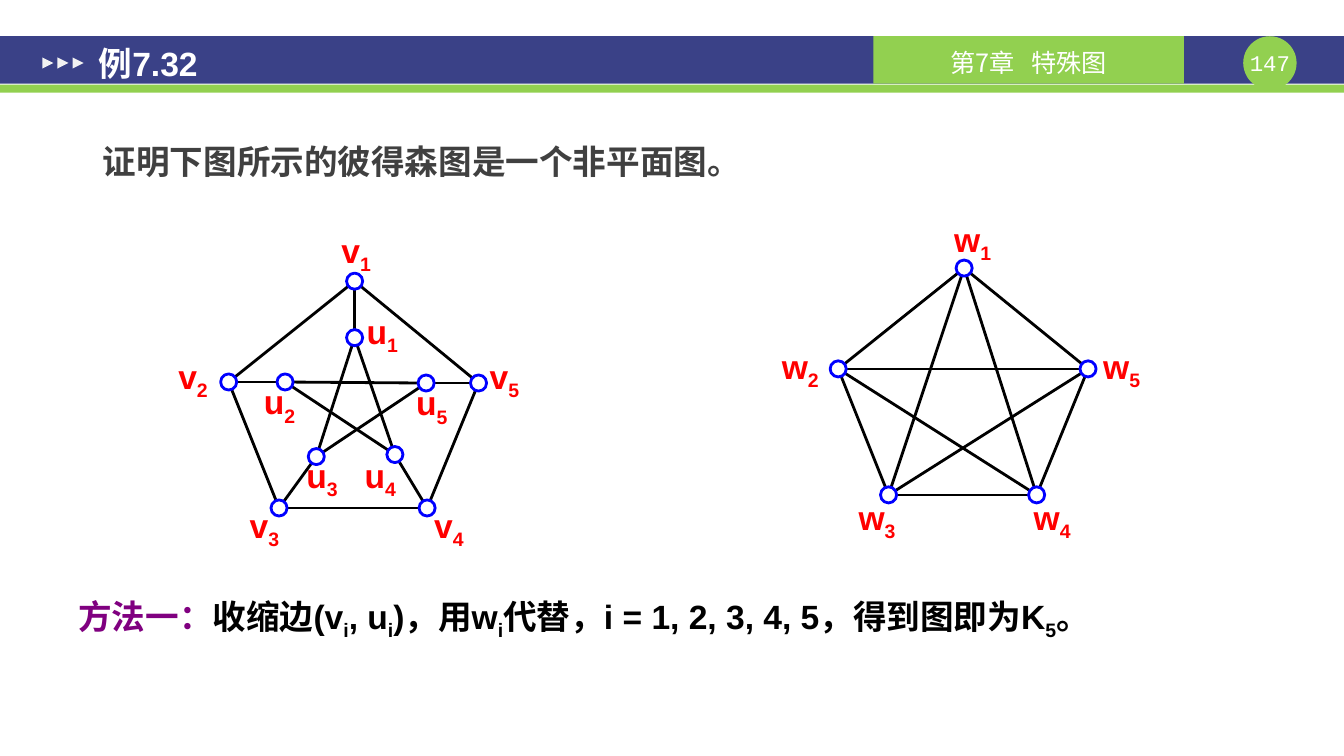
from lxml import etree
from pptx import Presentation
from pptx.dml.color import RGBColor
from pptx.enum.shapes import MSO_CONNECTOR, MSO_SHAPE
from pptx.enum.text import MSO_ANCHOR, MSO_AUTO_SIZE, PP_ALIGN
from pptx.oxml.ns import qn
from pptx.util import Inches, Pt

RECT, OVAL, TRIANGLE = MSO_SHAPE.RECTANGLE, MSO_SHAPE.OVAL, MSO_SHAPE.ISOSCELES_TRIANGLE
LEFT, CENTER = PP_ALIGN.LEFT, PP_ALIGN.CENTER
TOP, MIDDLE = MSO_ANCHOR.TOP, MSO_ANCHOR.MIDDLE
STRAIGHT, FIXED = MSO_CONNECTOR.STRAIGHT, MSO_AUTO_SIZE.NONE
NAVY, GREEN, WHITE, RED, BLUE, BLACK = "3A4187", "92D050", "FFFFFF", "FF0000", "0000FF", "000000"
CJK = "Noto Sans CJK SC"
WIDTH, HEIGHT = 13.34, 7.5
BAND_TOP, BAND_HEIGHT = 0.36, 0.47
NODE, LABEL_WIDTH, LABEL_HEIGHT = 0.16, 0.47, 0.4
color = RGBColor.from_string

deck = Presentation()
deck.slide_width, deck.slide_height = Inches(WIDTH), Inches(HEIGHT)
slide = deck.slides.add_slide(deck.slide_layouts[5])
shapes = slide.shapes


def add_block(kind, box, fill, outline=None):
    block = shapes.add_shape(kind, *map(Inches, box))
    block.shadow.inherit = False
    block.fill.solid()
    block.fill.fore_color.rgb = color(fill)
    if outline:
        block.line.color.rgb = color(outline)
        block.line.width = Pt(2)
    else:
        block.line.fill.background()
    return block


def write(holder, parts, insets=(0, 0, 0, 0), anchor=TOP, wrap=True, size=24,
          font="Arial", bold=True, **spacing):
    """Write (text, colour) parts; the character after "_" is a subscript."""
    frame = holder.text_frame
    left, top, right, bottom = map(Inches, insets)
    layout = dict(auto_size=FIXED, word_wrap=wrap, vertical_anchor=anchor, margin_left=left,
                  margin_top=top, margin_right=right, margin_bottom=bottom)
    for key, value in layout.items():
        setattr(frame, key, value)
    paragraph = frame.paragraphs[0]
    for key, value in spacing.items():
        setattr(paragraph, key, value)
    for text, ink in parts:
        first, *rest = text.split("_")
        pieces = [(first, False)]
        for piece in rest:
            pieces += [(piece[0], True), (piece[1:], False)]
        for piece, subscript in pieces:
            if not piece:
                continue
            run = paragraph.add_run()
            run.text = piece
            for key, value in dict(size=Pt(size), name=font, bold=bold).items():
                setattr(run.font, key, value)
            run.font.color.rgb = color(ink)
            properties = run._r.get_or_add_rPr()
            etree.SubElement(properties, qn("a:ea")).set("typeface", CJK)
            if subscript:
                properties.set("baseline", "-25000")


# Header band with page number, chapter and arrows
add_block(RECT, (0, BAND_TOP, WIDTH, BAND_HEIGHT), NAVY)
add_block(RECT, (0, 0.84, WIDTH, 0.08), GREEN)
page_number = add_block(OVAL, (12.34, BAND_TOP, 0.53, 0.53), GREEN)
write(page_number, [("147", WHITE)], anchor=MIDDLE, wrap=False, size=16,
      font="Courier New", bold=False, alignment=CENTER)
chapter = add_block(RECT, (8.67, BAND_TOP, 3.08, BAND_HEIGHT), GREEN)
write(chapter, [("第7章   特殊图", WHITE)], insets=(0.1, 0.04, 0.1, 0), anchor=MIDDLE,
      size=18, font=CJK, bold=False, alignment=CENTER)
for step in range(3):
    add_block(TRIANGLE, (0.42 + 0.15 * step, 0.57, 0.11, 0.11), "F2F2F2").rotation = 90

# Title, brought in front of the band
title = shapes.title
title.left, title.top, title.width, title.height = map(Inches, (0.85, 0.39, 5.83, BAND_HEIGHT))
write(title, [("例7.32", WHITE)], insets=(0.13, 0.07, 0.13, 0.07), anchor=MIDDLE, alignment=LEFT)
title.element.getparent().append(title.element)

# Problem
problem = shapes.add_textbox(*map(Inches, (0.89, 1.25, 11.76, 0.89)))
write(problem, [("证明下图所示的彼得森图是一个非平面图。", "404040")],
      insets=(0.13, 0.07, 0.13, 0.07), line_spacing=1.2, space_before=Pt(4.8))

# Vertices: centre x, y, then label left, top, alignment
petersen = {
    "v1": (3.52, 2.79, 3.3, 2.28, CENTER), "v2": (2.27, 3.79, 1.77, 3.53, LEFT),
    "v3": (2.77, 5.04, 2.39, 5.01, CENTER), "v4": (4.24, 5.04, 4.31, 5.01, LEFT),
    "v5": (4.75, 3.8, 4.86, 3.53, LEFT),
    "u1": (3.52, 3.35, 3.64, 3.08, LEFT), "u2": (2.83, 3.79, 2.62, 3.78, LEFT),
    "u3": (3.14, 4.53, 3.04, 4.51, LEFT), "u4": (3.92, 4.51, 3.62, 4.51, LEFT),
    "u5": (4.23, 3.8, 4.13, 3.79, LEFT),
}
complete = {
    "w1": (9.57, 2.66, 9.42, 2.17, CENTER), "w2": (8.32, 3.66, 7.76, 3.43, LEFT),
    "w3": (8.82, 4.91, 8.47, 4.93, CENTER), "w4": (10.29, 4.91, 10.26, 4.93, LEFT),
    "w5": (10.8, 3.66, 10.95, 3.43, LEFT),
}

# Edges: outer ring and inner star; spokes join v to u
petersen_edges, complete_edges = [], []
for i in range(1, 6):
    following, skipped = i % 5 + 1, (i + 1) % 5 + 1
    petersen_edges += [(f"v{i}", f"v{following}"), (f"u{i}", f"u{skipped}"), (f"v{i}", f"u{i}")]
    complete_edges += [(f"w{i}", f"w{following}"), (f"w{i}", f"w{skipped}")]

for vertices, edges in ((petersen, petersen_edges), (complete, complete_edges)):
    for start, end in edges:
        ends = vertices[start][:2] + vertices[end][:2]
        edge = shapes.add_connector(STRAIGHT, *map(Inches, ends))
        edge.line.color.rgb = color(BLACK)
        edge.line.width = Pt(2)
        etree.SubElement(edge._element.spPr, qn("a:effectLst"))
    for name, (x, y, label_left, label_top, alignment) in vertices.items():
        label = shapes.add_textbox(*map(Inches, (label_left, label_top, LABEL_WIDTH, LABEL_HEIGHT)))
        write(label, [(f"{name[0]}_{name[1]}", RED)], alignment=alignment)
        add_block(OVAL, (x - NODE / 2, y - NODE / 2, NODE, NODE), WHITE, BLUE)

# Method
method = shapes.add_textbox(*map(Inches, (0.68, 5.63, 12.08, 0.71)))
write(method, [("方法一：", "800080"),
               ("收缩边(v_i, u_i)，用w_i代替，i = 1, 2, 3, 4, 5，得到图即为K_5。", BLACK)],
      insets=(0.1, 0.05, 0.1, 0.05), line_spacing=1.5, space_before=Pt(6))

deck.save("out.pptx")
